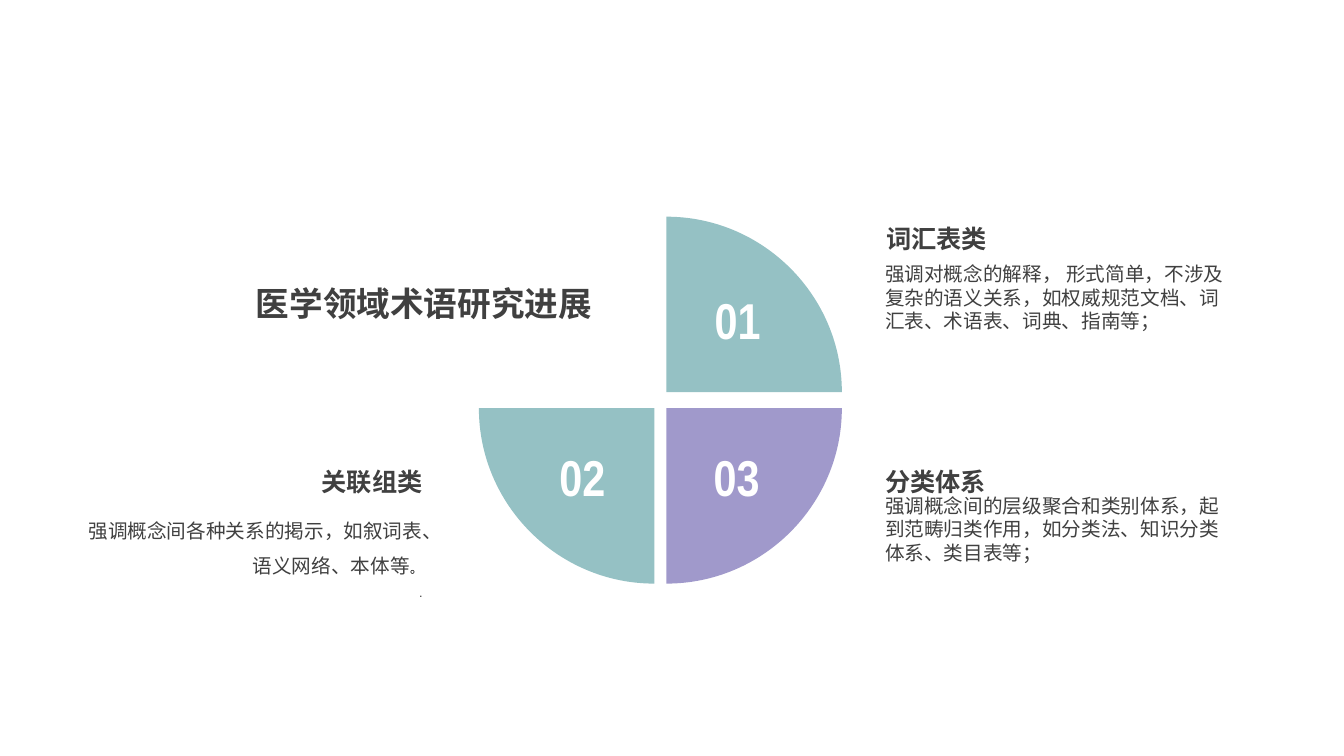
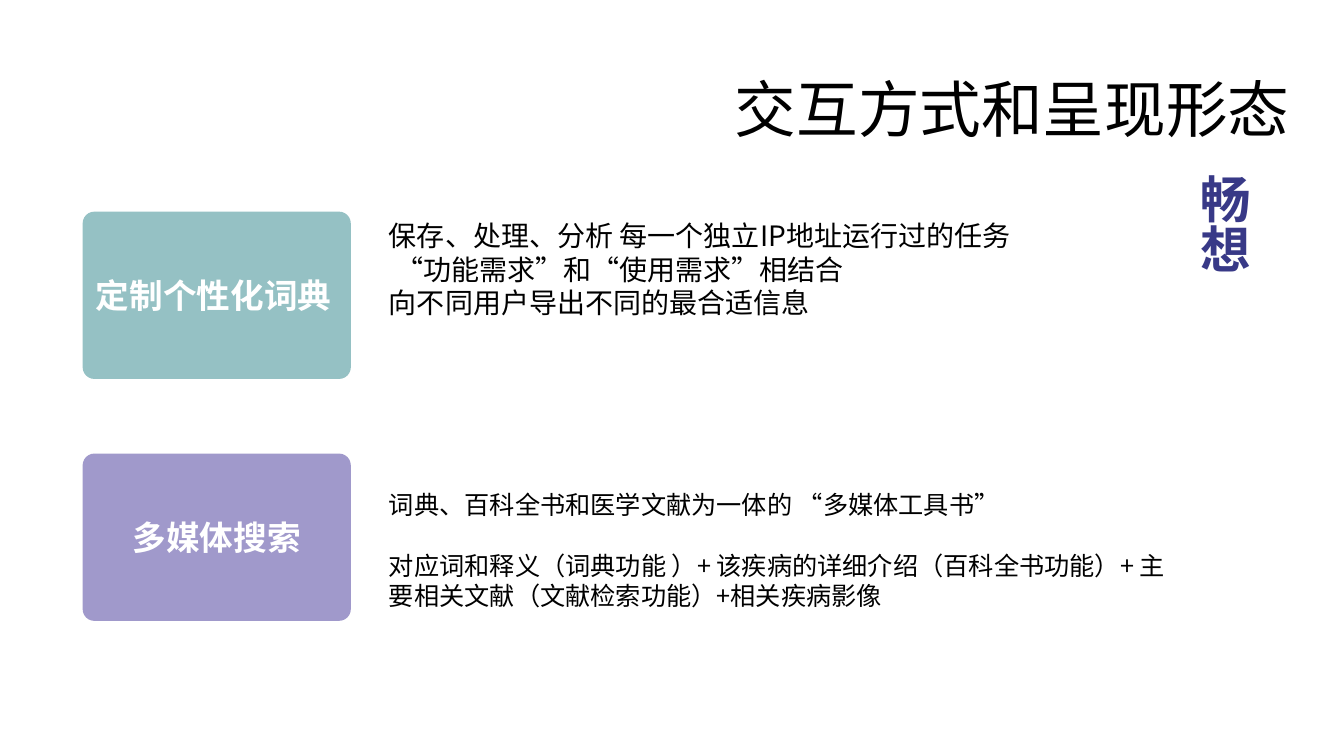
from lxml import etree
from pptx import Presentation
from pptx.dml.color import RGBColor
from pptx.enum.shapes import MSO_SHAPE
from pptx.enum.text import MSO_ANCHOR, PP_ALIGN
from pptx.oxml.ns import qn
from pptx.util import Inches, Pt

COLORS = {
    "teal": "95C1C4",
    "violet": "A099CB",
    "indigo": "383987",
    "gray": "404040",
    "black": "000000",
    "white": "FFFFFF",
}
CJK_FONT = "Noto Sans CJK SC"
ARC_HANDLE = 0.55  # length of a quarter circle's Bezier handle, per radius

# Text styles shared by the slides
STYLES = {
    "number": {"name": "Arial Narrow", "size": 36, "bold": True, "color": "white"},
    "heading": {"name": CJK_FONT, "size": 18, "bold": True, "color": "gray"},
    "latin heading": {"name": "Calibri", "size": 18, "bold": True, "color": "gray"},
    "body": {"name": "Arial", "size": 14, "bold": False, "color": "gray"},
    "small": {"name": "Arial", "size": 9, "bold": False, "color": "gray"},
    "stop": {"name": "Calibri", "size": 9, "bold": False, "color": "black"},
    "topic": {"name": CJK_FONT, "size": 24, "bold": True, "color": "gray"},
    "card": {"name": CJK_FONT, "size": 24, "bold": True, "color": "white"},
    "latin card": {"name": "Calibri", "size": 24, "bold": True, "color": "white"},
    "large": {"name": CJK_FONT, "size": 20, "bold": False, "color": "black"},
    "medium": {"name": CJK_FONT, "size": 18, "bold": False, "color": "black"},
    "title": {"name": "Calibri", "size": 44, "bold": False, "color": "black"},
    "vertical": {"name": CJK_FONT, "size": 36, "bold": True, "color": "indigo"},
}


def rgb(color):
    return RGBColor.from_string(COLORS[color])


def paint(shape, color):
    shape.shadow.inherit = False
    shape.fill.solid()
    shape.fill.fore_color.rgb = rgb(color)
    shape.line.fill.background()


def add_run(paragraph, text, style):
    run = paragraph.add_run()
    run.text = text
    values = dict(STYLES[style])
    run.font.color.rgb = rgb(values.pop("color"))
    values["size"] = Pt(values["size"])
    for name, value in values.items():
        setattr(run.font, name, value)
    east_asian = etree.SubElement(run.font._element, qn("a:ea"))
    east_asian.set("typeface", CJK_FONT)


def fill_text(frame, paragraphs, align=PP_ALIGN.LEFT, **settings):
    """Write paragraphs, each a list of (text, style) runs."""
    for index, runs in enumerate(paragraphs):
        paragraph = frame.paragraphs[0] if index == 0 else frame.add_paragraph()
        paragraph.alignment = align
        for name, value in settings.items():
            setattr(paragraph, name, value)
        for text, style in runs:
            add_run(paragraph, text, style)


def add_text(slide, box, paragraphs, wrap=True, **settings):
    shape = slide.shapes.add_textbox(*map(Inches, box))
    shape.text_frame.word_wrap = wrap
    fill_text(shape.text_frame, paragraphs, **settings)
    return shape.text_frame


def add_label(slide, box, text, style, **settings):
    return add_text(slide, box, [[(text, style)]], wrap=False, **settings)


def add_quadrant(slide, corner, radius, right, down, color):
    """Draw a quarter disc; right and down (1 or -1) give its direction."""
    left, top = corner
    builder = slide.shapes.build_freeform(Inches(left), Inches(top))
    builder.add_line_segments([
        (Inches(left + right * radius), Inches(top)),
        (Inches(left), Inches(top + down * radius)),
    ], close=True)
    shape = builder.convert_to_shape()
    paint(shape, color)

    # Turn the slanted side into an arc
    side = list(shape._element.iter(qn("a:lnTo")))[1]
    end = side[0]
    arc = etree.Element(qn("a:cubicBezTo"))
    origin_x = 0 if right > 0 else radius
    origin_y = 0 if down > 0 else radius
    for across, along in ((1, ARC_HANDLE), (ARC_HANDLE, 1)):
        handle = etree.SubElement(arc, qn("a:pt"))
        handle.set("x", str(Inches(origin_x + right * across * radius)))
        handle.set("y", str(Inches(origin_y + down * along * radius)))
    side.getparent().replace(side, arc)
    arc.append(end)


def build_progress_slide(slide):
    # Three quarter discs, then their numbers
    radius = 1.74
    quadrants = [
        ((6.61, 4.05), 1, 1, "violet"),
        ((6.49, 4.05), -1, 1, "teal"),
        ((6.61, 3.89), 1, -1, "teal"),
    ]
    for corner, right, down, color in quadrants:
        add_quadrant(slide, corner, radius, right, down, color)
    numbers = [
        ("01", (6.99, 2.82, 0.67, 0.71)),
        ("02", (5.45, 4.38, 0.73, 0.71)),
        ("03", (6.98, 4.38, 0.74, 0.71)),
    ]
    for number, box in numbers:
        add_label(slide, box, number, "number")

    # Headings, each with its explanation
    entries = [
        (8.69, 2.17, "词汇表类", "latin heading", 2.55,
         "强调对概念的解释， 形式简单，不涉及复杂的语义关系，"
         "如权威规范文档、词汇表、术语表、词典、指南等；"),
        (8.68, 4.58, "分类体系", "heading", 4.85,
         "强调概念间的层级聚合和类别体系，起到范畴归类作用，"
         "如分类法、知识分类体系、类目表等；"),
    ]
    for left, top, heading, style, text_top, text in entries:
        add_label(slide, (left, top, 1.21, 0.4), heading, style)
        add_text(slide, (8.68, text_top, 3.68, 0.81), [[(text, "body")]])

    # Right-aligned entry and topic
    add_label(slide, (3.08, 4.58, 1.21, 0.4), "关联组类", "heading",
              align=PP_ALIGN.RIGHT)
    add_text(slide, (0.61, 4.98, 3.68, 1.01),
             [[("强调概念间各种关系的掲示，如叙词表、语义网络、本体等", "body"),
               ("。", "stop")],
              [(".", "small")]],
             align=PP_ALIGN.RIGHT, line_spacing=1.5)
    add_label(slide, (2.4, 2.76, 3.57, 0.5), "医学领域术语研究进展", "topic",
              align=PP_ALIGN.RIGHT)


def add_card(slide, box, text, style, color, align):
    card = slide.shapes.add_shape(MSO_SHAPE.ROUNDED_RECTANGLE, *map(Inches, box))
    card.adjustments[0] = 0.07
    paint(card, color)
    card.text_frame.word_wrap = True
    card.text_frame.vertical_anchor = MSO_ANCHOR.MIDDLE
    fill_text(card.text_frame, [[(text, style)]], align=align)


def build_interaction_slide(slide):
    # Cards on the left
    cards = [("定制个性化词典", "card", "teal", PP_ALIGN.LEFT),
             ("多媒体搜索", "latin card", "violet", PP_ALIGN.CENTER)]
    for index, card in enumerate(cards):
        add_card(slide, (0.82, 2.1 + index * 2.4, 2.66, 1.66), *card)

    # Dictionary notes, second line slightly indented
    lines = ["保存、处理、分析 每一个独立IP地址运行过的任务",
             "“功能需求”和“使用需求”相结合",
             "向不同用户导出不同的最合适信息"]
    notes = add_text(slide, (3.76, 2.12, 7.54, 1.11),
                     [[(line, "large")] for line in lines])
    notes.paragraphs[1]._p.get_or_add_pPr().set("indent", str(Inches(0.06)))

    # Search notes, two separated paragraphs
    lines = ["词典、百科全书和医学文献为一体的 “多媒体工具书”",
             "对应词和释义（词典功能 ）+ 该疾病的详细介绍（百科全书功能）+ "
             "主要相关文献（文献检索功能）+相关疾病影像"]
    notes = add_text(slide, (3.76, 4.81, 8.03, 1.31),
                     [[(line, "medium")] for line in lines])
    notes.paragraphs[1].space_before = Pt(21.5)

    # Title and vertical tag
    add_label(slide, (7.19, 0.65, 5.76, 0.84), "交互方式和呈现形态", "title")
    tag = add_text(slide, (11.78, 1.63, 0.71, 1.82), [[("畅想", "vertical")]])
    tag.vertical_anchor = MSO_ANCHOR.MIDDLE
    tag._txBody.bodyPr.set("vert", "eaVert")


def main():
    presentation = Presentation()
    presentation.slide_width = Inches(13.33)
    presentation.slide_height = Inches(7.5)
    for build in (build_progress_slide, build_interaction_slide):
        build(presentation.slides.add_slide(presentation.slide_layouts[6]))
    presentation.save("out.pptx")


if __name__ == "__main__":
    main()
